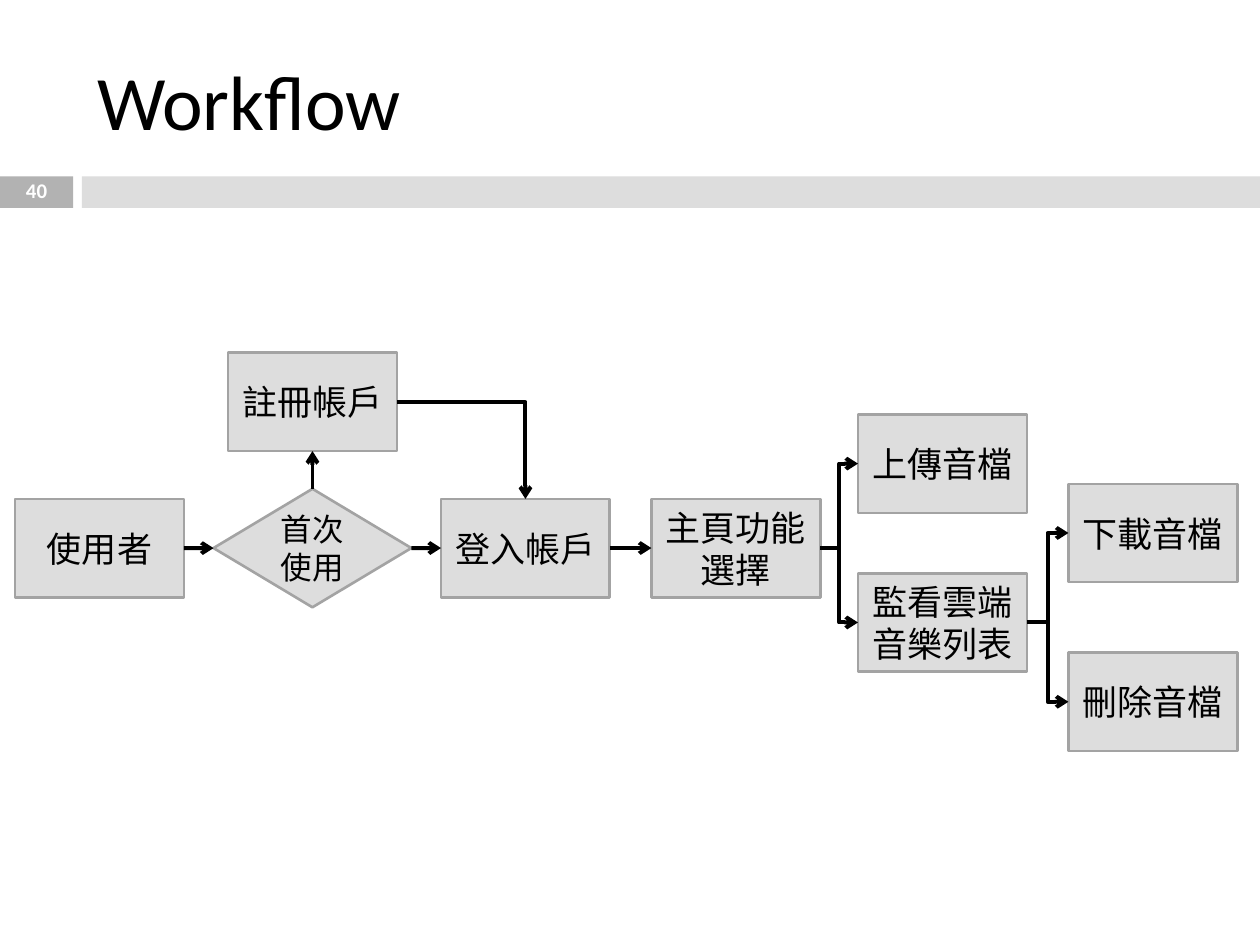
from typing import NamedTuple

from lxml import etree
from pptx import Presentation, util as u
from pptx.dml.color import RGBColor
from pptx.enum import shapes as sh, text as tx
from pptx.oxml.ns import qn

HUES = {"ink": "000000", "paper": "FFFFFF", "fill": "DDDDDD",
        "edge": "A3A3A3", "badge": "B2B2B2"}
FONT = "Calibri"

# Grid: centres of the columns and rows, in inches
COLS = [0.79, 2.48, 4.17, 5.84, 7.48, 9.15]
ROWS = [3.19, 3.68, 4.23, 4.35, 4.94, 5.57]
TOP, LEFT, BOTTOM, RIGHT = range(4)
PROC = sh.MSO_SHAPE.FLOWCHART_PROCESS
TEST = sh.MSO_SHAPE.FLOWCHART_DECISION


class Step(NamedTuple):
    label: str
    col: int
    row: int
    kind: sh.MSO_SHAPE = PROC
    wide: float = 1.34
    high: float = 0.78
    size: int = 20


class Link(NamedTuple):
    start: str
    end: str
    out: int = RIGHT
    into: int = LEFT
    bend: str = ""


STEPS = {
    "list": Step("監看雲端音樂列表", 4, 4),
    "first": Step("首次使用", 1, 3, TEST, 1.57, 0.94, 18),
    "user": Step("使用者", 0, 3),
    "join": Step("註冊帳戶", 1, 0),
    "login": Step("登入帳戶", 2, 3),
    "home": Step("主頁功能選擇", 3, 3),
    "upload": Step("上傳音檔", 4, 1),
    "fetch": Step("下載音檔", 5, 2),
    "delete": Step("刪除音檔", 5, 5),
}
LINKS = [
    Link("user", "first"),
    Link("first", "login"),
    Link("first", "join", TOP, BOTTOM),
    Link("login", "home"),
    Link("join", "login", RIGHT, TOP, "bentConnector2"),
    Link("home", "upload", bend="bentConnector3"),
    Link("home", "list", bend="bentConnector3"),
    Link("list", "fetch", bend="bentConnector3"),
    Link("list", "delete", bend="bentConnector3"),
]


def hue(name: str) -> RGBColor:
    return RGBColor.from_string(HUES[name])


def style(para, size: float, color: str = "ink", bold: bool = False) -> None:
    font = para.font
    font.name, font.size, font.bold = FONT, u.Pt(size), bold
    font.color.rgb = hue(color)


def block(slide, kind, x: float, y: float, w: float, h: float, fill: str):
    shape = slide.shapes.add_shape(kind, *map(u.Inches, (x, y, w, h)))
    shape.shadow.inherit = False
    shape.fill.solid()
    shape.fill.fore_color.rgb = hue(fill)
    shape.line.fill.background()
    return shape


def draw_step(slide, step: Step):
    x, y = COLS[step.col] - step.wide / 2, ROWS[step.row] - step.high / 2
    shape = block(slide, step.kind, x, y, step.wide, step.high, "fill")
    shape.line.color.rgb = hue("edge")
    shape.line.width = u.Pt(1.5)
    frame = shape.text_frame
    frame.word_wrap = True
    frame.vertical_anchor = tx.MSO_ANCHOR.MIDDLE
    para = frame.paragraphs[0]
    para.text, para.alignment = step.label, tx.PP_ALIGN.CENTER
    style(para, step.size)
    return shape


def draw_link(slide, link: Link, nodes: dict) -> None:
    kind = sh.MSO_CONNECTOR.ELBOW if link.bend else sh.MSO_CONNECTOR.STRAIGHT
    wire = slide.shapes.add_connector(kind, 0, 0, 0, 0)
    wire.begin_connect(nodes[link.start], link.out)
    wire.end_connect(nodes[link.end], link.into)
    wire.line.color.rgb = hue("ink")
    wire.line.width = u.Pt(2.25)
    props = wire._element.spPr
    if link.bend:
        props.find(qn("a:prstGeom")).set("prst", link.bend)
    etree.SubElement(props.find(qn("a:ln")), qn("a:tailEnd"), type="arrow")
    etree.SubElement(props, qn("a:effectLst"))


def main() -> None:
    deck = Presentation()
    deck.slide_width, deck.slide_height = u.Inches(10), u.Inches(7.5)
    slide = deck.slides.add_slide(deck.slide_layouts[5])

    # Band under the title
    block(slide, sh.MSO_SHAPE.RECTANGLE, 0, 1.4, 0.58, 0.25, "badge")
    block(slide, sh.MSO_SHAPE.RECTANGLE, 0.65, 1.4, 9.35, 0.25, "fill")

    # Title
    title = slide.shapes.title
    title.left, title.top = u.Inches(0.67), u.Inches(0.25)
    title.width, title.height = u.Inches(8.92), u.Inches(1.08)
    title.text_frame.vertical_anchor = tx.MSO_ANCHOR.MIDDLE
    para = title.text_frame.paragraphs[0]
    para.text, para.alignment = "Workflow", tx.PP_ALIGN.LEFT
    style(para, 44)

    # Page number
    page = slide.shapes.add_textbox(0, u.Inches(1.39), u.Inches(0.58), u.Inches(0.27))
    frame = page.text_frame
    frame.word_wrap = True
    frame.margin_top = frame.margin_bottom = 0
    frame.vertical_anchor = tx.MSO_ANCHOR.MIDDLE
    para = frame.paragraphs[0]
    para.text, para.alignment, para.line_spacing = "40", tx.PP_ALIGN.CENTER, 0.8
    style(para, 11.9, "paper", True)

    # Flow chart
    nodes = {key: draw_step(slide, step) for key, step in STEPS.items()}
    for link in LINKS:
        draw_link(slide, link, nodes)

    deck.save("out.pptx")


if __name__ == "__main__":
    main()
